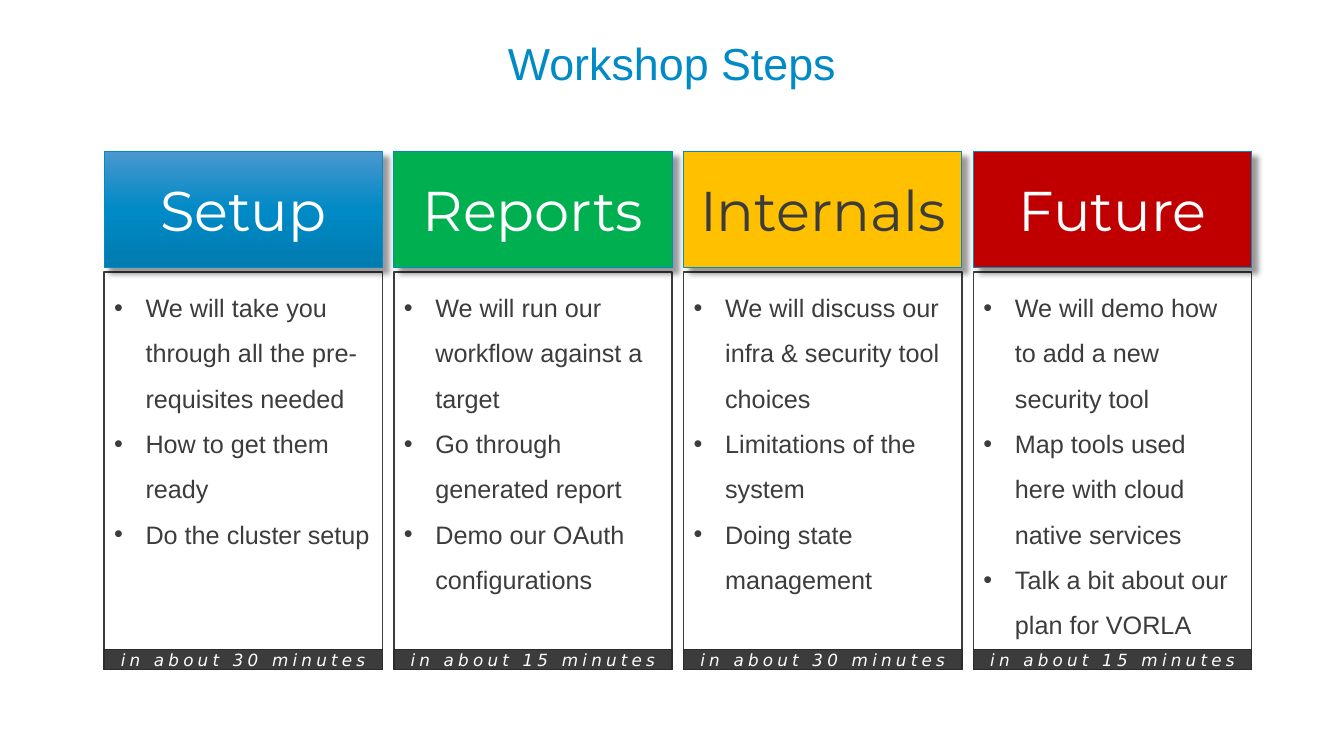
"""Build the Workshop Steps slide: four step columns with header, list and duration."""
from copy import deepcopy

from lxml.etree import SubElement
from pptx import Presentation
from pptx.dml.color import RGBColor
from pptx.enum.shapes import MSO_SHAPE as SHAPE
from pptx.enum.text import MSO_ANCHOR as ANCHOR, PP_ALIGN as ALIGN
from pptx.oxml.ns import qn
from pptx.util import Pt

COLORS = {
    "blue": "008AC6", "blue_light": "4B97CE", "blue_deep": "007BB0",
    "green": "00B050", "amber": "FFC000", "red": "C00000",
    "ink": "3C3C3C", "ink_deep": "2C2C2C", "white": "FFFFFF", "black": "000000",
}
LEFT, PITCH, WIDTH = 74.4, 207, 198.7
SETUP_GRADIENT = ("blue_light", "blue", "blue_deep")
STEPS = [
    ("Setup", SETUP_GRADIENT, "white", "in about 30 minutes", [
        "We will take you through all the pre-requisites needed",
        "How to get them ready",
        "Do the cluster setup"]),
    ("Reports", "green", "white", "in about 15 minutes", [
        "We will run our workflow against a target",
        "Go through generated report",
        "Demo our OAuth configurations"]),
    ("Internals", "amber", "ink", "in about 30 minutes", [
        "We will discuss our infra & security tool choices",
        "Limitations of the system",
        "Doing state management"]),
    ("Future", "red", "white", "in about 15 minutes", [
        "We will demo how to add a new security tool",
        "Map tools used here with cloud native services",
        "Talk a bit about our plan for VORLA"]),
]


def rgb(name):
    return RGBColor.from_string(COLORS[name])


def add_run(p, text, font, size, color):
    r = p.add_run()
    r.text = text
    r.font.name, r.font.size = font, Pt(size)
    r.font.color.rgb = rgb(color)
    return r


def add_box(shapes, x, y, h, fill, line, line_width):
    s = shapes.add_shape(SHAPE.RECTANGLE, Pt(x), Pt(y), Pt(WIDTH), Pt(h))
    s.shadow.inherit = False
    if isinstance(fill, tuple):
        fill_gradient(s, fill)
    else:
        s.fill.solid()
        s.fill.fore_color.rgb = rgb(fill)
    s.line.color.rgb = rgb(line)
    s.line.width = Pt(line_width)
    s.text_frame.word_wrap = True
    return s


def fill_gradient(s, names):
    s.fill.gradient()
    s.fill.gradient_angle = 270
    stops = s._element.spPr.find(qn("a:gradFill")).find(qn("a:gsLst"))
    stops.insert(1, deepcopy(stops[0]))
    for i, (stop, name) in enumerate(zip(s.fill.gradient_stops, names)):
        stop.position = i / (len(names) - 1)
        stop.color.rgb = rgb(name)


def add_shadow(s):
    effects = s._element.spPr.find(qn("a:effectLst"))
    shadow = SubElement(effects, qn("a:outerShdw"), blurRad=str(Pt(4)), dist=str(Pt(6)),
                        dir="2700000", algn="tl", rotWithShape="0")
    color = SubElement(shadow, qn("a:srgbClr"), val=COLORS["black"])
    SubElement(color, qn("a:alpha"), val="40000")


def add_title(shapes, text):
    s = shapes.add_textbox(Pt(66), Pt(28.8), Pt(828), Pt(36.7))
    tf = s.text_frame
    tf.word_wrap = True
    tf.vertical_anchor = ANCHOR.MIDDLE
    p = tf.paragraphs[0]
    p.alignment, p.line_spacing = ALIGN.CENTER, 0.9
    add_run(p, text, "Arial", 32, "blue")


def add_label(s, text, font, size, color):
    s.text_frame.vertical_anchor = ANCHOR.MIDDLE
    p = s.text_frame.paragraphs[0]
    p.alignment = ALIGN.CENTER
    return add_run(p, text, font, size, color)


def add_header(shapes, x, text, fill, color):
    s = add_box(shapes, x, 108, 83, fill, "blue", 0.75)
    add_shadow(s)
    add_label(s, text, "Montserrat", 40, color)


def add_panel(shapes, x, items):
    s = add_box(shapes, x, 194.4, 283.7, "white", "ink", 1)
    tf = s.text_frame
    tf.vertical_anchor = ANCHOR.TOP
    for i, item in enumerate(items):
        p = tf.add_paragraph() if i else tf.paragraphs[0]
        p.alignment, p.line_spacing = ALIGN.LEFT, 1.5
        pPr = p._p.get_or_add_pPr()
        pPr.set("marL", str(Pt(22.5)))
        pPr.set("indent", str(-Pt(22.5)))
        SubElement(pPr, qn("a:buFont"), typeface="Arial")
        SubElement(pPr, qn("a:buChar"), char="•")
        add_run(p, item, "Arial", 18, "ink")


def add_duration(shapes, x, text):
    s = add_box(shapes, x, 464, 14.1, "ink", "ink_deep", 1)
    r = add_label(s, text, "DejaVu Sans", 12, "white")
    r.font.italic = True
    r._r.get_or_add_rPr().set("spc", "300")


def main():
    prs = Presentation()
    prs.slide_width, prs.slide_height = Pt(960), Pt(540)
    shapes = prs.slides.add_slide(prs.slide_layouts[6]).shapes
    add_title(shapes, "Workshop Steps")
    for i, (name, fill, color, duration, items) in enumerate(STEPS):
        x = LEFT + i * PITCH
        add_panel(shapes, x, items)
        add_header(shapes, x, name, fill, color)
        add_duration(shapes, x, duration)
    prs.save("out.pptx")


if __name__ == "__main__":
    main()
